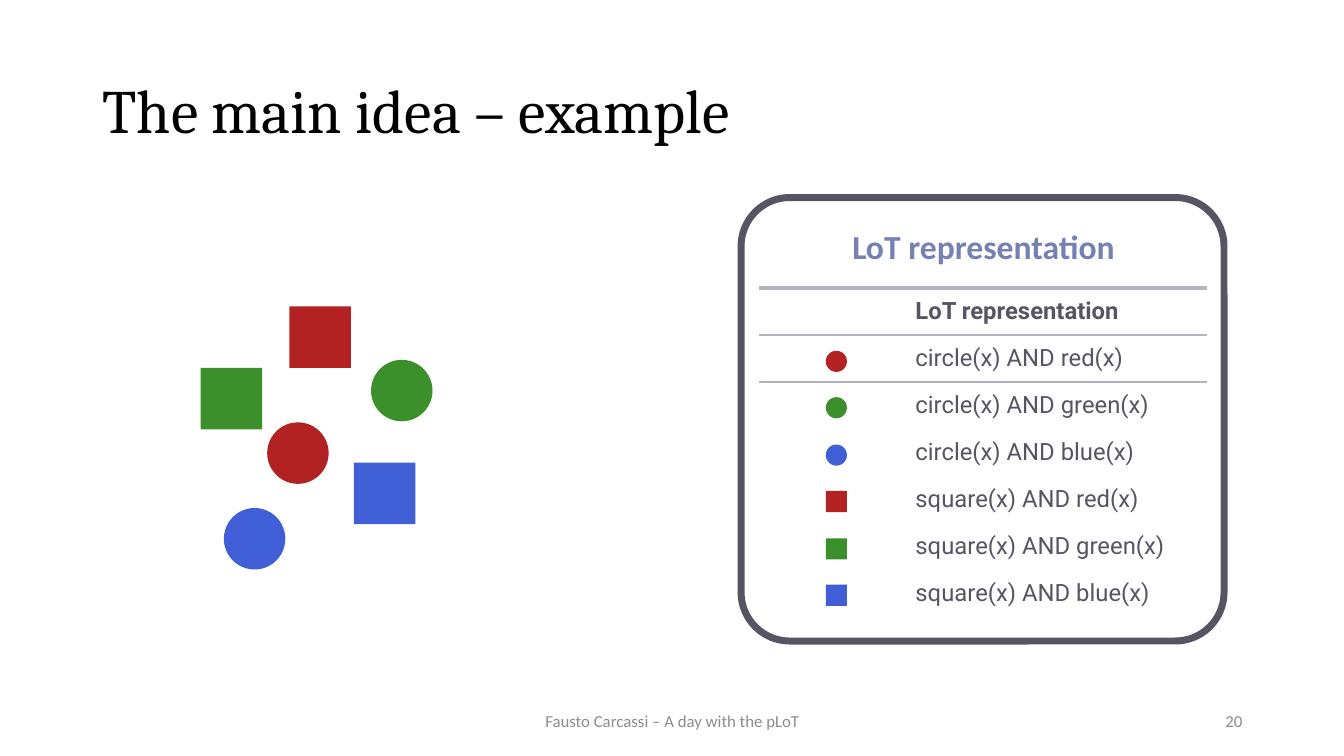
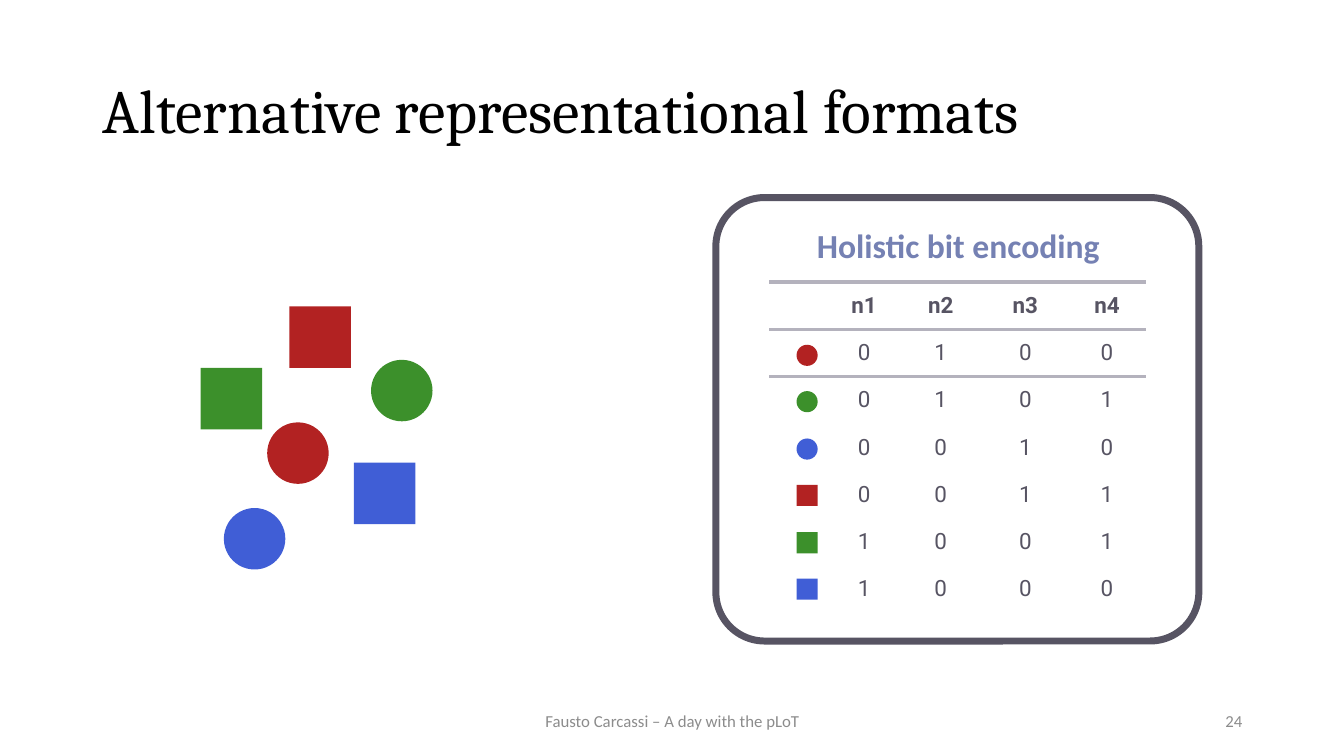
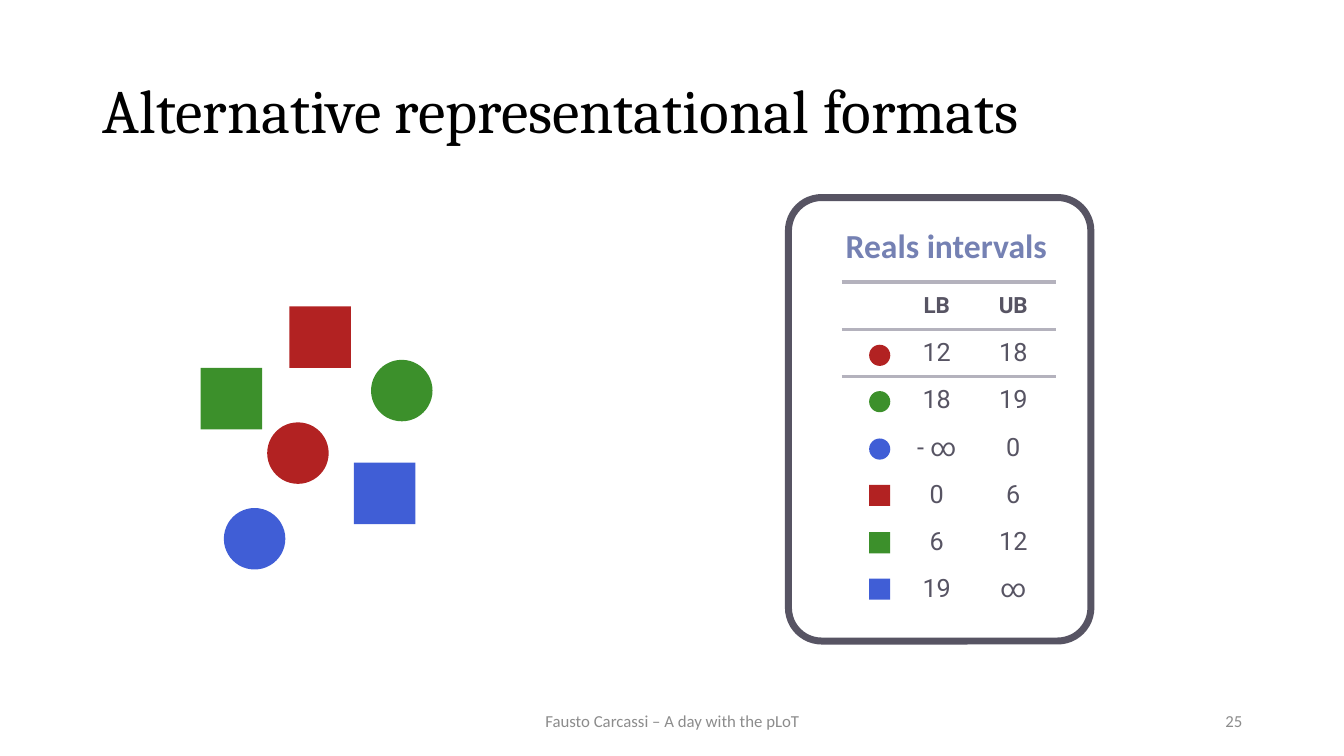
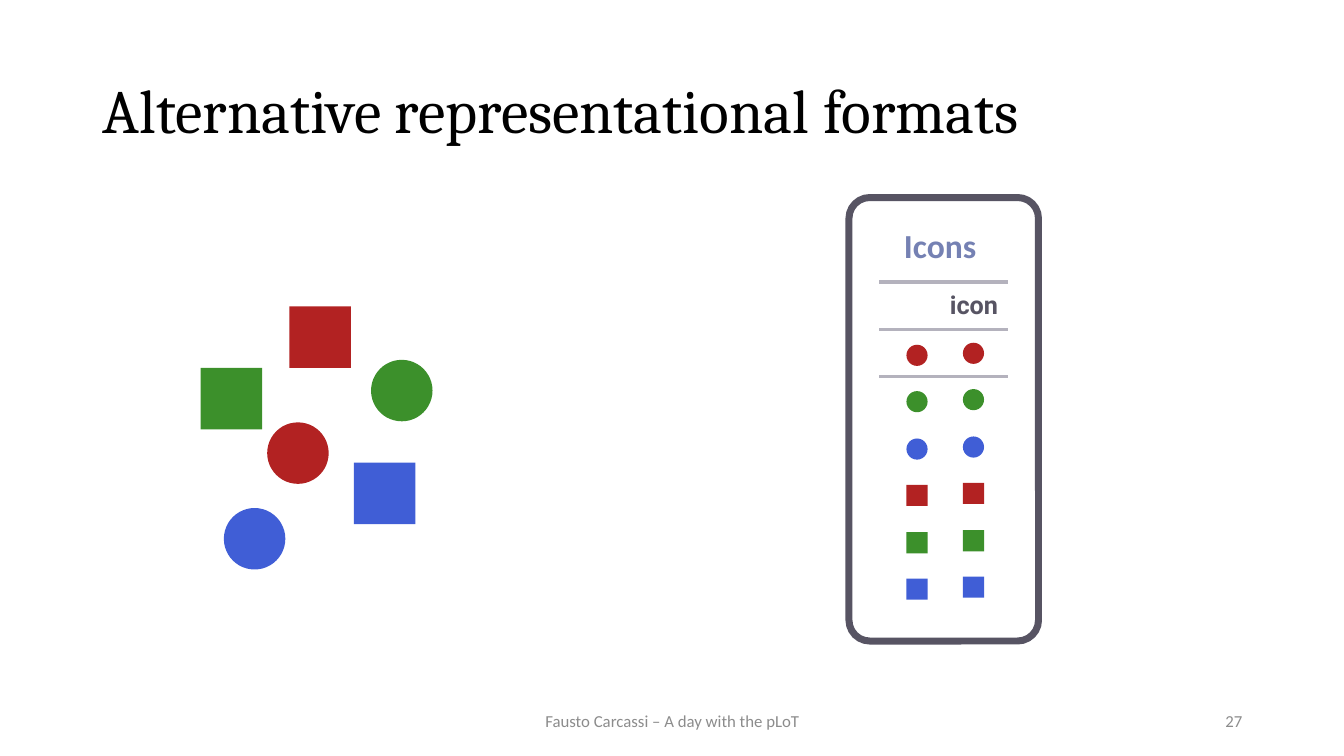
"""Build four slides that compare ways of representing coloured shapes."""
from dataclasses import dataclass
from typing import Any

from lxml import etree
from pptx import Presentation
from pptx.dml.color import RGBColor
from pptx.enum.shapes import MSO_SHAPE
from pptx.enum.text import MSO_ANCHOR, PP_ALIGN
from pptx.oxml.ns import qn
from pptx.util import Emu, Pt

ELLIPSE, RECT, ROUNDED = MSO_SHAPE.OVAL, MSO_SHAPE.RECTANGLE, MSO_SHAPE.ROUNDED_RECTANGLE
LEFT, CENTER, RIGHT = PP_ALIGN.LEFT, PP_ALIGN.CENTER, PP_ALIGN.RIGHT
MIDDLE = MSO_ANCHOR.MIDDLE

BLACK = RGBColor(0x00, 0x00, 0x00)
RED = RGBColor(0xB2, 0x22, 0x22)
GREEN = RGBColor(0x3C, 0x90, 0x2B)
BLUE = RGBColor(0x40, 0x5E, 0xD6)
SLATE = RGBColor(0x57, 0x54, 0x63)
RULE = RGBColor(0xB4, 0xB2, 0xBD)
PERIWINKLE = RGBColor(0x75, 0x81, 0xB3)
GREY = RGBColor(0x8C, 0x8C, 0x8C)

TITLE_FMT = {"name": "Cambria", "size": Pt(44)}
FOOTER_FMT = {"name": "Calibri", "size": Pt(12)}
HEADING_FMT = {"name": "Calibri", "size": Pt(24), "bold": True}
FOOTER = "Fausto Carcassi – A day with the pLoT"
NO_STYLE = "{2D5ABB26-0587-4C30-8999-92F81FD0307C}"

EMU_PER_PX = 9144
PANEL_Y, PANEL_H = 196, 440
HEADING_H = 52
OBJECT_SIZE, ICON_SIZE = 61, 21
ICON_PITCH = 46.5
TOP_RULE, HEADER_RULE = 3, 2


@dataclass(frozen=True)
class Item:
    kind: Any
    color: RGBColor
    x: int
    y: int


@dataclass(frozen=True)
class Box:
    x: int
    y: int
    w: int
    h: int


@dataclass(frozen=True)
class Grid:
    x: int
    y: int
    h: int
    cols: tuple[int, ...]
    rows: tuple[tuple[str, ...], ...]
    header_pt: int
    body_pt: int
    align: Any = CENTER
    inset: int = 6


@dataclass(frozen=True)
class Page:
    title: str
    number: int
    heading: str
    heading_x: int
    heading_y: int
    heading_w: int
    panel_x: int
    panel_w: int
    grid: Grid
    icon_columns: tuple[tuple[int, int], ...]


ITEMS = (
    Item(ELLIPSE, RED, 265, 419),
    Item(ELLIPSE, GREEN, 368, 357),
    Item(ELLIPSE, BLUE, 222, 504),
    Item(RECT, RED, 287, 304),
    Item(RECT, GREEN, 199, 365),
    Item(RECT, BLUE, 351, 459),
)

FORMULAS = tuple(
    ("", f"{kind}(x) AND {color}(x)")
    for kind in ("circle", "square")
    for color in ("red", "green", "blue")
)
BITS = tuple(("", *code) for code in ("0100", "0101", "0010", "0011", "1001", "1000"))
INTERVALS = (
    ("", "12", "18"),
    ("", "18", "19"),
    ("", "- ∞", "0"),
    ("", "0", "6"),
    ("", "6", "12"),
    ("", "19", "∞"),
)
ALTERNATIVE = "Alternative representational formats"

PAGES = (
    Page("The main idea – example", 20, "LoT representation", 803, 218, 345, 735, 479,
         Grid(753, 286, 326, (152, 292), (("", "LoT representation"), *FORMULAS),
              17, 17, LEFT, 3),
         ((819, 348),)),
    Page(ALTERNATIVE, 24, "Holistic bit encoding", 778, 217, 345, 710, 479,
         Grid(763, 280, 328, (60, 68, 84, 84, 78), (("", "n1", "n2", "n3", "n4"), *BITS),
              16, 16),
         ((790, 342),)),
    Page(ALTERNATIVE, 25, "Reals intervals", 831, 217, 215, 782, 300,
         Grid(835, 280, 328, (60, 68, 84), (("", "LB", "UB"), *INTERVALS), 16, 18),
         ((862, 342),)),
    Page(ALTERNATIVE, 27, "Icons", 876, 217, 113, 842, 188,
         Grid(872, 280, 328, (60, 68), (("", "icon"), *(("", ""),) * 6), 18, 18),
         ((899, 342), (955, 340))),
)


def px(n: float) -> Emu:
    """Turn px into EMU."""
    return Emu(round(n * EMU_PER_PX))


def write(p: Any, text: str, fmt: dict[str, Any], color: RGBColor, align: Any) -> None:
    """Put one formatted run into a paragraph."""
    p.alignment = align
    r = p.add_run()
    r.text = text
    for key, value in fmt.items():
        setattr(r.font, key, value)
    r.font.color.rgb = color


def set_insets(target: Any, inset: int) -> None:
    """Give a text frame or cell equal margins."""
    for side in ("left", "top", "right", "bottom"):
        setattr(target, f"margin_{side}", px(inset))


def add_text(s: Any, box: Box, text: str, fmt: dict[str, Any], color: RGBColor,
             align: Any = LEFT) -> Any:
    """Add a wrapped, vertically centred text box."""
    tf = s.shapes.add_textbox(px(box.x), px(box.y), px(box.w), px(box.h)).text_frame
    tf.word_wrap = True
    tf.vertical_anchor = MIDDLE
    write(tf.paragraphs[0], text, fmt, color, align)
    return tf


def add_item(shapes: Any, item: Item, size: int) -> None:
    """Add one flat coloured circle or square."""
    sp = shapes.add_shape(item.kind, px(item.x), px(item.y), px(size), px(size))
    sp.shadow.inherit = False
    sp.fill.solid()
    sp.fill.fore_color.rgb = item.color
    sp.line.fill.background()


def add_icons(s: Any, x: int, y: int) -> None:
    """Add a grouped column of small icons, one for each table row."""
    group = s.shapes.add_group_shape()
    for i, item in enumerate(ITEMS):
        icon = Item(item.kind, item.color, x, y + int(i * ICON_PITCH))
        add_item(group.shapes, icon, ICON_SIZE)


def add_panel(s: Any, x: int, w: int) -> None:
    """Add the rounded outline around a table."""
    sp = s.shapes.add_shape(ROUNDED, px(x), px(PANEL_Y), px(w), px(PANEL_H))
    sp.adjustments[0] = 0.11
    sp.shadow.inherit = False
    sp.fill.background()
    sp.line.color.rgb = SLATE
    sp.line.width = Pt(5)


def add_border(cell: Any, side: str, width: int) -> None:
    """Add a solid rule to one side of a cell."""
    ln = etree.SubElement(cell._tc.get_or_add_tcPr(), qn(f"a:ln{side}"), w=str(Pt(width)))
    fill = etree.SubElement(ln, qn("a:solidFill"))
    etree.SubElement(fill, qn("a:srgbClr"), val=str(RULE))


def add_grid(s: Any, grid: Grid) -> None:
    """Add a table with rules above and below its header."""
    frame = s.shapes.add_table(len(grid.rows), len(grid.cols), px(grid.x), px(grid.y),
                               px(sum(grid.cols)), px(grid.h))
    table = frame.table
    table.first_row = table.horz_banding = False
    frame.element.xpath(".//a:tableStyleId")[0].text = NO_STYLE
    for column, width in zip(table.columns, grid.cols):
        column.width = px(width)
    borders = {0: (("T", TOP_RULE), ("B", HEADER_RULE)), 1: (("T", HEADER_RULE),)}
    for i, row in enumerate(grid.rows):
        size = grid.body_pt if i else grid.header_pt
        fmt = {"name": "Roboto", "size": Pt(size), "bold": i == 0}
        for j, text in enumerate(row):
            cell = table.cell(i, j)
            for side, width in borders.get(i, ()):
                add_border(cell, side, width)
            cell.fill.background()
            cell.vertical_anchor = MIDDLE
            set_insets(cell, grid.inset)
            if text:
                p = cell.text_frame.paragraphs[0]
                p.space_before = Pt(10)
                write(p, text, fmt, SLATE, grid.align)


def add_page(prs: Any, page: Page) -> None:
    """Add one slide with title, objects, panel and footer."""
    s = prs.slides.add_slide(prs.slide_layouts[6])
    tf = add_text(s, Box(92, 40, 1150, 145), page.title, TITLE_FMT, BLACK)
    tf.paragraphs[0].line_spacing = 0.9
    for item in ITEMS:
        add_item(s.shapes, item, OBJECT_SIZE)
    add_panel(s, page.panel_x, page.panel_w)
    add_grid(s, page.grid)
    for x, y in page.icon_columns:
        add_icons(s, x, y)
    heading = Box(page.heading_x, page.heading_y, page.heading_w, HEADING_H)
    set_insets(add_text(s, heading, page.heading, HEADING_FMT, PERIWINKLE, CENTER), 6)
    add_text(s, Box(442, 695, 450, 40), FOOTER, FOOTER_FMT, GREY, CENTER)
    add_text(s, Box(942, 695, 300, 40), str(page.number), FOOTER_FMT, GREY, RIGHT)


def main() -> None:
    """Build and save the presentation."""
    prs = Presentation()
    prs.slide_width, prs.slide_height = px(1333), px(750)
    for page in PAGES:
        add_page(prs, page)
    prs.save("out.pptx")


if __name__ == "__main__":
    main()
